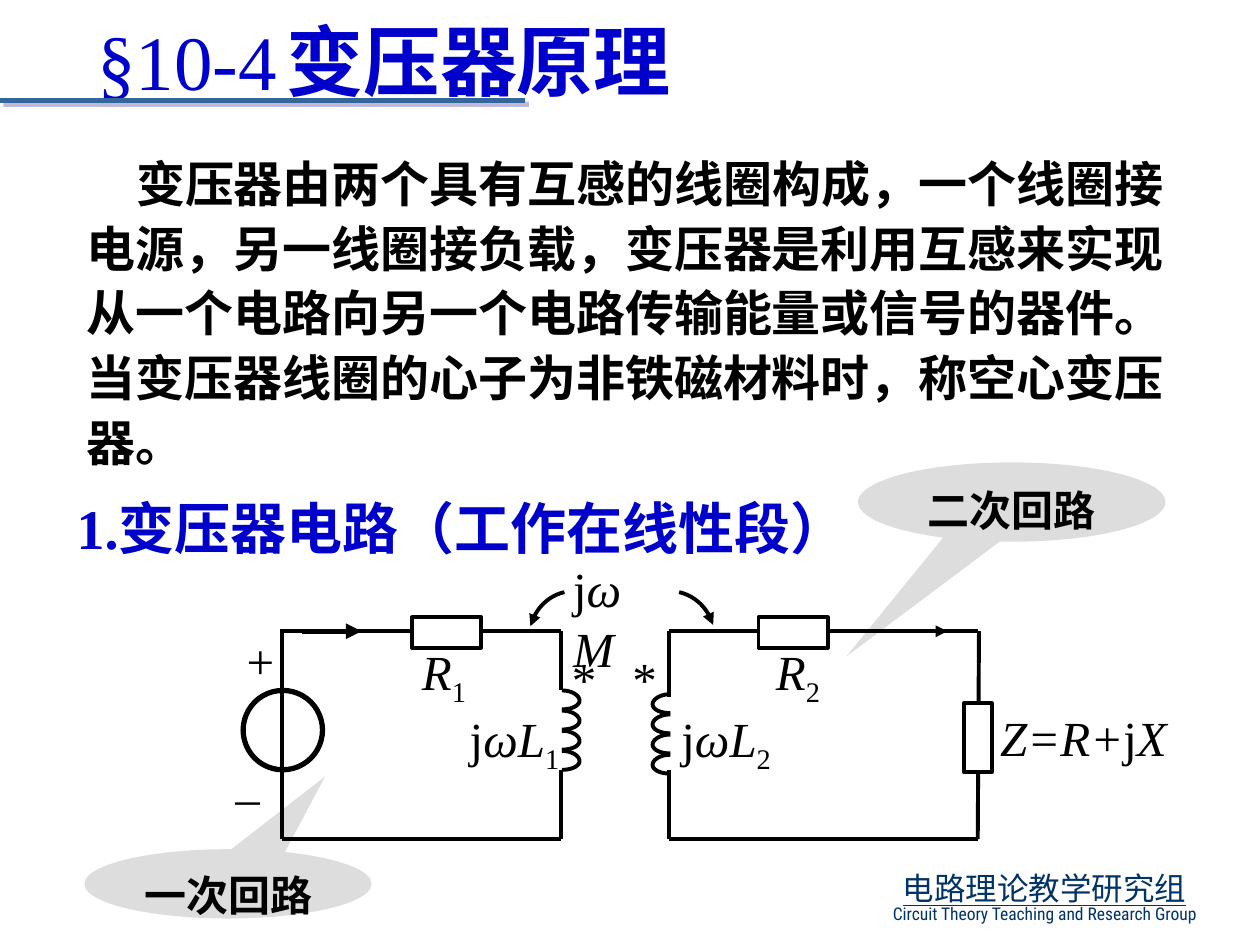
from lxml import etree
from pptx import Presentation
from pptx.dml.color import RGBColor
from pptx.enum.shapes import MSO_CONNECTOR, MSO_SHAPE
from pptx.enum.text import MSO_ANCHOR, MSO_AUTO_SIZE, PP_ALIGN
from pptx.oxml.ns import qn
from pptx.util import Pt

PX = 9144  # 100 px to the inch
LEFT, MID = PP_ALIGN.LEFT, PP_ALIGN.CENTER
TOP, FIXED = MSO_ANCHOR.TOP, MSO_AUTO_SIZE.NONE
STRAIGHT = MSO_CONNECTOR.STRAIGHT
RECT, OVAL = MSO_SHAPE.RECTANGLE, MSO_SHAPE.OVAL
CALL = MSO_SHAPE.OVAL_CALLOUT
SERIF, HAN, SANS = "Times New Roman", "Noto Sans CJK SC", "Roboto Condensed"
BLACK, WHITE, BLUE, NAVY, GREY = "000000", "FFFFFF", "0000CC", "003366", "DDDDDD"
HAN_LEAD, SUB_LEAD, LEAD = 1.29, 1.39, 1.2  # line height per point of size

TITLE = [("§10-4\t", {}), ("变压器原理", {"bold": True})]
BODY = ("变压器由两个具有互感的线圈构成，一个线圈接电源，另一线圈接负载，"
        "变压器是利用互感来实现从一个电路向另一个电路传输能量或信号的器件。"
        "当变压器线圈的心子为非铁磁材料时，称空心变压器。")
HEAD = "1.变压器电路（工作在线性段）"
GROUP = "电路理论教学研究组"
GROUP_EN = "Circuit Theory Teaching and Research Group"

# text, box, pointer
CALLS = [
    ("一次回路", (67, 674, 228, 55), (0.338, -1.55)),
    ("二次回路", (681, 367, 244, 63), (-0.538, 1.946)),
]

IT, SUB = {"italic": True}, {"sub": True}
# runs, box, line height
LABELS = [
    ([("Z=R+", IT), ("j", {}), ("X", IT)], (784, 556, 167, 57), LEAD),
    ([("*", {})], (444, 509, 40, 57), LEAD),
    ([("*", {})], (492, 509, 37, 57), LEAD),
    ([("j", {}), ("ωL", IT), ("1", SUB)], (363, 556, 93, 57), SUB_LEAD),
    ([("j", {}), ("ωL", IT), ("2", SUB)], (531, 556, 140, 57), SUB_LEAD),
    ([("j", {}), ("ω M", IT)], (445, 438, 95, 57), LEAD),
    ([("+", {})], (186, 495, 51, 57), LEAD),
    ([("–", {})], (177, 603, 51, 57), LEAD),
    ([("R", IT), ("1", SUB)], (325, 503, 89, 57), SUB_LEAD),
    ([("R", IT), ("2", SUB)], (606, 503, 94, 57), SUB_LEAD),
]

WIRES = [
    (224, 501, 445, 501), (445, 501, 445, 548), (445, 611, 445, 666),
    (445, 666, 224, 666), (224, 499, 224, 666),
    (531, 501, 776, 501), (531, 501, 531, 553), (531, 611, 531, 666),
    (531, 666, 776, 666), (776, 666, 777, 501),
]
FLOWS = [((240, 501, 287, 501), 3), ((705, 501, 752, 501), 2.25)]
LOADS = [(327, 490, 55, 24), (602, 490, 55, 24), (765, 558, 22, 55)]
SOURCE = (193, 548, 63, 63)
HOOKS = [  # coupling arrows, as Bezier points
    [(448, 470), (435, 473), (425, 483), (421, 497)],
    [(539, 470), (552, 473), (562, 483), (566, 496)],
]
COILS = [(446, 548, 1), (532, 551, -1)]  # x, top, side of the bulge
TURNS, PITCH = 4, 16


def emu(vals):
    return [round(v * PX) for v in vals]


def hue(code):
    return RGBColor.from_string(code)


def add_xml(node, tag, **attrs):
    return etree.SubElement(node, qn(tag), attrs)


def write(frame, runs, size=28, color=BLACK, font=SERIF, bold=False, under=False,
          align=LEFT, lead=HAN_LEAD, first=True, tab=0, indent=0):
    """Write one paragraph; runs is a string or a list of (text, format)."""
    frame.word_wrap, frame.auto_size = True, FIXED
    frame.vertical_anchor = TOP
    para = frame.paragraphs[0] if first else frame.add_paragraph()
    para.alignment, para.line_spacing = align, Pt(round(size * lead))
    para.space_before = Pt(0)
    props = para._p.get_or_add_pPr()
    props.set("marL", "0")
    props.set("indent", str(indent * PX))
    add_xml(props, "a:buNone")
    if tab:
        add_xml(add_xml(props, "a:tabLst"), "a:tab", pos=str(tab * PX), algn="l")
    for text, form in [(runs, {})] if isinstance(runs, str) else runs:
        run = para.add_run()
        run.text = text
        face = run.font
        face.size, face.name, face.color.rgb = Pt(size), font, hue(color)
        face.bold, face.italic = form.get("bold", bold), form.get("italic", False)
        face.underline = under
        add_xml(face._element, "a:ea", typeface=HAN)
        if form.get("sub"):
            face._element.set("baseline", "-25000")


def place(shape, box):
    shape.left, shape.top, shape.width, shape.height = emu(box)
    return shape.text_frame


def label(slide, box, runs, **form):
    frame = slide.shapes.add_textbox(*emu(box)).text_frame
    write(frame, runs, **form)
    return frame


def solid(slide, kind, box, fill=WHITE, width=0):
    shape = slide.shapes.add_shape(kind, *emu(box))
    shape.shadow.inherit = False
    shape.fill.solid()
    shape.fill.fore_color.rgb = hue(fill)
    if width:
        ink(shape, width)
    else:
        shape.line.fill.background()
    return shape


def ink(shape, width=2.25, color=BLACK, arrow=False):
    shape.line.width, shape.line.color.rgb = Pt(width), hue(color)
    if arrow:
        add_xml(shape.line._get_or_add_ln(), "a:tailEnd", type="triangle")


def wire(slide, ends, **form):
    """Draw a straight line and return its effect list."""
    line = slide.shapes.add_connector(STRAIGHT, *emu(ends))
    ink(line, **form)
    return add_xml(line._element.spPr, "a:effectLst")


def bezier(pts, steps=12):
    for i in range(steps + 1):
        t = i / steps
        mix = ((1 - t) ** 3, 3 * t * (1 - t) ** 2, 3 * t * t * (1 - t), t ** 3)
        yield emu(sum(m * p[k] for m, p in zip(mix, pts)) for k in (0, 1))


def curve(slide, *parts, arrow=False):
    pts = [p for part in parts for p in bezier(part)]
    path = slide.shapes.build_freeform(*pts[0], scale=1.0)
    path.add_line_segments(pts[1:], close=False)
    shape = path.convert_to_shape()
    shape.shadow.inherit = False
    shape.fill.background()
    ink(shape, arrow=arrow)


def turn(slide, x, y, side):
    near, far = x + 8 * side, x + 14 * side
    curve(slide, [(x, y), (near, y), (far, y + 4), (far, y + 8)],
          [(far, y + 8), (far, y + 12), (near, y + 15), (x, y + 15)])


def frame_page(slide):
    box = label(slide, (675, 683, 308, 57), GROUP, size=18, color=NAVY, font=HAN,
                under=True, align=MID)
    write(box, GROUP_EN, size=10, color=NAVY, font=SANS, align=MID, lead=1,
          first=False)
    rule = wire(slide, (0, 80, 417, 80), width=3, color="336699")
    shade = add_xml(rule, "a:outerShdw", dist="35560", dir="2700000", algn="ctr",
                    rotWithShape="0")
    add_xml(add_xml(shade, "a:srgbClr", val="8572B6"), "a:alpha", val="50000")


def circuit(slide):
    for ends in WIRES[:4] + WIRES[5:9]:
        wire(slide, ends)
    solid(slide, OVAL, SOURCE, width=3)
    for ends in (WIRES[4], WIRES[9]):  # these run over the source and to the load
        wire(slide, ends)
    for ends, width in FLOWS:
        wire(slide, ends, width=width, arrow=True)
    for box in LOADS:
        solid(slide, RECT, box, width=2.25)
    for hook in HOOKS:
        curve(slide, hook, arrow=True)
    for x, top, side in COILS:
        for i in range(TURNS):
            turn(slide, x, top + i * PITCH, side)
    for runs, box, lead in LABELS:
        label(slide, box, runs, lead=lead)


def main():
    deck = Presentation()
    deck.slide_width, deck.slide_height = emu((1000, 750))
    slide = deck.slides.add_slide(deck.slide_layouts[1])
    frame_page(slide)
    title, body = slide.placeholders
    write(place(title, (67, 0, 618, 83)), TITLE, size=44, color=BLUE, tab=188)
    write(place(body, (59, 112, 898, 267)), BODY, bold=True, lead=1.32, indent=39)
    label(slide, (51, 383, 669, 63), HEAD, size=32, color=BLUE, bold=True)
    for text, box, tip in CALLS:
        shape = solid(slide, CALL, box, fill=GREY)
        shape.adjustments[0], shape.adjustments[1] = tip
        write(shape.text_frame, text, size=24, bold=True, align=MID)
    circuit(slide)
    deck.save("out.pptx")


if __name__ == "__main__":
    main()
